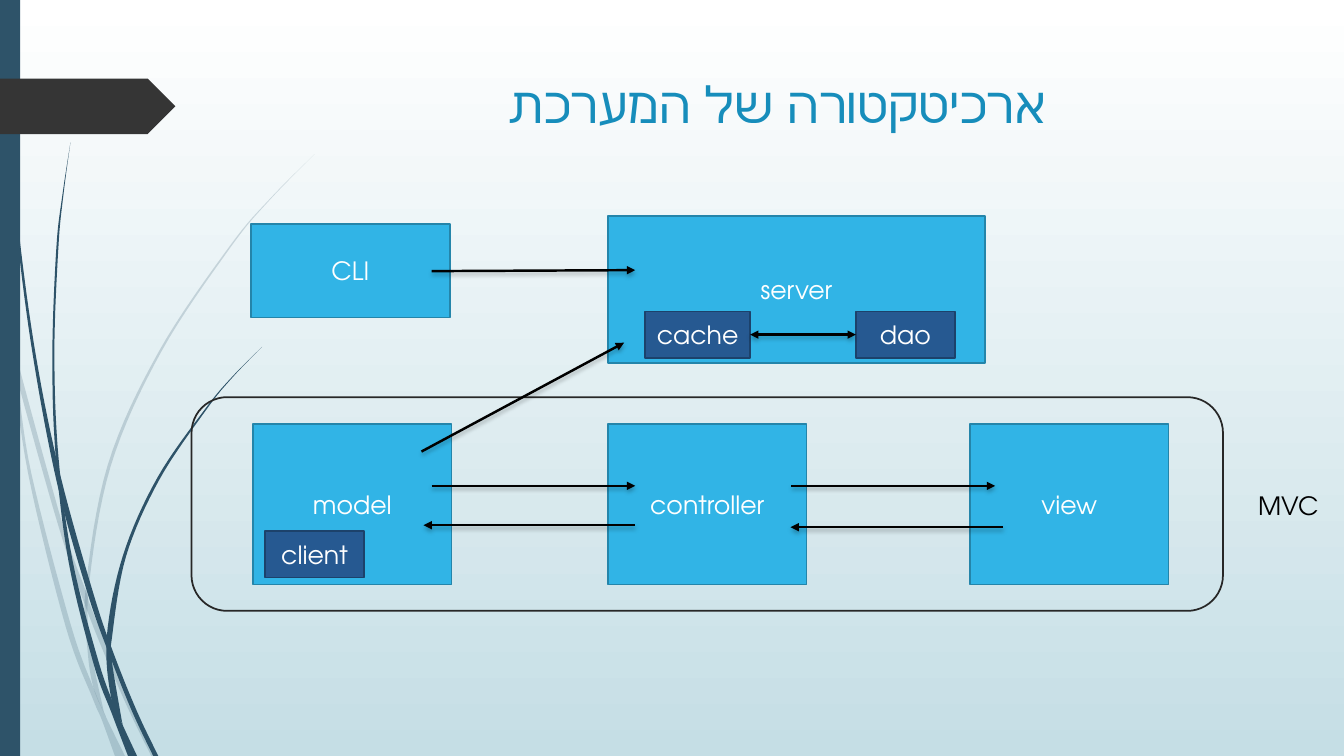
from lxml import etree
from pptx import Presentation
from pptx.dml.color import RGBColor
from pptx.enum.shapes import MSO_CONNECTOR, MSO_SHAPE
from pptx.enum.text import MSO_ANCHOR, PP_ALIGN
from pptx.oxml.ns import qn
from pptx.util import Cm, Pt

RECT, ROUNDED, TAG = MSO_SHAPE.RECTANGLE, MSO_SHAPE.ROUNDED_RECTANGLE, MSO_SHAPE.PENTAGON
STRAIGHT = MSO_CONNECTOR.STRAIGHT
CENTER, LEFT = PP_ALIGN.CENTER, PP_ALIGN.LEFT
TOP, MIDDLE = MSO_ANCHOR.TOP, MSO_ANCHOR.MIDDLE

WHITE = RGBColor(0xFF, 0xFF, 0xFF)
BLACK = RGBColor(0, 0, 0)
MIST = RGBColor(0xC5, 0xDE, 0xE5)
SLATE = RGBColor(0x2E, 0x53, 0x69)
CHARCOAL = RGBColor(0x35, 0x35, 0x35)
FRAME = RGBColor(0x27, 0x27, 0x27)
TITLE_BLUE = RGBColor(0x17, 0x8D, 0xBB)
SKY, SKY_EDGE = RGBColor(0x31, 0xB4, 0xE6), RGBColor(0x24, 0x85, 0xAA)
NAVY, NAVY_EDGE = RGBColor(0x26, 0x59, 0x91), RGBColor(0x1C, 0x42, 0x6B)
FONT = "TeX Gyre Adventor"
CM_PER_UNIT = 2.54

TITLE = "ארכיטקטורה של המערכת"
MODULES = {
    "CLI": (2.49, 2.22, 1.97, 0.93),
    "server": (6.03, 2.14, 3.74, 1.46),
    "model": (2.51, 4.21, 1.97, 1.59),
    "controller": (6.03, 4.21, 1.97, 1.59),
    "view": (9.62, 4.21, 1.97, 1.59),
}
PARTS = {
    "cache": (6.4, 3.09, 1.04, 0.46),
    "dao": (8.49, 3.09, 0.98, 0.46),
    "client": (2.63, 5.27, 0.98, 0.46),
}
CALLS = [
    ((4.28, 2.69), (6.3, 2.68)),
    ((4.18, 4.48), (6.19, 3.4)),
    ((4.28, 4.82), (6.3, 4.82)),
    ((7.85, 4.82), (9.87, 4.82)),
    ((9.95, 5.23), (7.84, 5.23)),
    ((6.3, 5.21), (4.2, 5.21)),
]
PALE_STRANDS = [
    ([(0, 2.82), (0.14, 3.45), (0.62, 5.2), (0.85, 5.86), (0.92, 6.07), (1.27, 6.92), (1.55, 7.5)],
     [(1.5, 7.5), (1.23, 6.94), (0.88, 6.1), (0.58, 5.22), (0.17, 3.76), (0.1, 3.44), (0, 2.99)]),
    ([(0.11, 3.5), (0.17, 3.76), (0.31, 4.69), (0.7, 6.19), (0.93, 6.83), (1.05, 7.11), (1.24, 7.5)],
     [(1.14, 7.5), (1.01, 7.14), (0.92, 6.93), (0.65, 6.21), (0.28, 4.7), (0.11, 3.5)]),
    ([(3.12, 1.53), (2.68, 1.97), (2.28, 2.44), (1.58, 3.48), (1.07, 4.61), (0.85, 5.84),
      (0.87, 6.46), (0.93, 6.83), (1.05, 7.11)],
     [(1.03, 7.06), (0.91, 6.46), (0.88, 5.84), (1.1, 4.62), (1.6, 3.49), (2.29, 2.45),
      (2.68, 1.98), (3.12, 1.53)]),
]
DARK_STRANDS = [
    ([(0.04, 0), (0.05, 0.48), (0.08, 1.09), (0.19, 2.32), (0.36, 3.55), (0.6, 4.72),
      (0.93, 5.9), (1.13, 6.49), (1.36, 7.06), (1.57, 7.5)],
     [(1.52, 7.5), (1.32, 7.08), (1.11, 6.56), (0.88, 5.92), (0.57, 4.81), (0.33, 3.55),
      (0.17, 2.33), (0.07, 1.1), (0.04, 0.48), (0.03, 0)]),
    ([(0.7, 1.41), (0.63, 1.93), (0.58, 2.45), (0.54, 3.49), (0.58, 4.53), (0.72, 5.56),
      (0.98, 6.57), (1.16, 7.06), (1.36, 7.5)],
     [(1.27, 7.5), (1.11, 7.08), (0.93, 6.59), (0.68, 5.57), (0.55, 4.49), (0.52, 3.49),
      (0.56, 2.45), (0.62, 1.93), (0.7, 1.41)]),
    ([(2.6, 3.44), (2.31, 3.73), (2.04, 4.05), (1.56, 4.74), (1.22, 5.51), (1.06, 6.31),
      (1.1, 6.91), (1.22, 7.19)],
     [(1.21, 7.16), (1.11, 6.56), (1.11, 6.33), (1.25, 5.52), (1.58, 4.76), (2.05, 4.06),
      (2.31, 3.74), (2.6, 3.44)]),
]


def cm(*values):
    return [Cm(value * CM_PER_UNIT) for value in values]


def smooth(knots, steps=8):
    ends = [knots[0], *knots, knots[-1]]
    curve = []
    for a, b, c, d in zip(ends, ends[1:], ends[2:], ends[3:]):
        for step in range(steps):
            t = step / steps
            curve.append(tuple(
                q + t * (r - p) / 2 + t * t * (2 * p - 5 * q + 4 * r - s) / 2
                + t ** 3 * (3 * q - p - 3 * r + s) / 2
                for p, q, r, s in zip(a, b, c, d)))
    return curve + [knots[-1]]


def paint(shape, fill=None, edge=None):
    shape.shadow.inherit = False
    if fill is None:
        shape.fill.background()
    else:
        shape.fill.solid()
        shape.fill.fore_color.rgb = fill
    if edge is None:
        shape.line.fill.background()
    else:
        shape.line.color.rgb = edge
        shape.line.width = Pt(1.25)


def write(shape, text, size, color, align=CENTER, anchor=MIDDLE):
    frame = shape.text_frame
    frame.word_wrap = True
    frame.vertical_anchor = anchor
    frame.paragraphs[0].alignment = align
    run = frame.paragraphs[0].add_run()
    run.text = text
    run.font.size = Pt(size)
    run.font.name = FONT
    run.font.color.rgb = color
    etree.SubElement(run.font._element, qn("a:cs"), typeface=FONT)


def add_strand(shapes, strand, opacity=None):
    outline = [cm(*point) for edge in strand for point in smooth(edge)]
    builder = shapes.build_freeform(*outline[0])
    builder.add_line_segments(outline[1:], close=True)
    wisp = builder.convert_to_shape()
    paint(wisp, SLATE)
    if opacity:
        color = wisp._element.spPr.find(qn("a:solidFill"))[0]
        etree.SubElement(color, qn("a:alpha"), val=str(opacity * 1000))


def add_block(shapes, kind, box, fill=None, edge=None):
    block = shapes.add_shape(kind, *cm(*box))
    paint(block, fill, edge)
    return block


def add_arrow(shapes, start, end, both=False):
    arrow = shapes.add_connector(STRAIGHT, *cm(*start, *end))
    arrow.line.color.rgb = BLACK
    arrow.line.width = Pt(1.75)
    line = arrow.line._get_or_add_ln()
    for tip in ("a:headEnd", "a:tailEnd") if both else ("a:tailEnd",):
        etree.SubElement(line, qn(tip), type="triangle")
    effects = etree.SubElement(arrow._element.spPr, qn("a:effectLst"))
    shadow = etree.SubElement(effects, qn("a:outerShdw"), blurRad=str(Pt(3)),
                              dist=str(Pt(2)), dir="5400000", rotWithShape="0")
    color = etree.SubElement(shadow, qn("a:srgbClr"), val=str(BLACK))
    etree.SubElement(color, qn("a:alpha"), val="25000")
    return arrow


def main():
    deck = Presentation()
    deck.slide_width, deck.slide_height = cm(13.33, 7.5)
    slide = deck.slides.add_slide(deck.slide_layouts[5])
    shapes = slide.shapes

    backdrop = slide.background.fill
    backdrop.gradient()
    backdrop.gradient_angle = 270
    for stop, color, position in zip(backdrop.gradient_stops, (WHITE, MIST), (0, 1)):
        stop.color.rgb = color
        stop.position = position

    for strand in PALE_STRANDS:
        add_strand(shapes, strand, 20)
    for strand in DARK_STRANDS:
        add_strand(shapes, strand)
    add_block(shapes, RECT, (0, 0, 0.2, 7.5), SLATE)
    add_block(shapes, TAG, (0, 0.78, 1.74, 0.55), CHARCOAL)

    title = shapes.title
    title.left, title.top, title.width, title.height = cm(2.84, 0.68, 9.75, 1.4)
    write(title, TITLE, 36, TITLE_BLUE, anchor=TOP)
    title.text_frame.paragraphs[0]._p.get_or_add_pPr().set("rtl", "1")

    blocks = {}
    for group, fill, edge in ((MODULES, SKY, SKY_EDGE), (PARTS, NAVY, NAVY_EDGE)):
        for label, box in group.items():
            blocks[label] = add_block(shapes, RECT, box, fill, edge)
            write(blocks[label], label, 18, WHITE)

    add_block(shapes, ROUNDED, (1.9, 3.94, 10.23, 2.12), edge=FRAME)
    pattern = shapes.add_textbox(*cm(12.38, 4.82, 1.03, 0.4))
    write(pattern, "MVC", 18, BLACK, LEFT, TOP)

    for start, end in CALLS:
        add_arrow(shapes, start, end)
    storage = add_arrow(shapes, (7.44, 3.32), (8.49, 3.32), both=True)
    storage.begin_connect(blocks["cache"], 3)
    storage.end_connect(blocks["dao"], 1)

    deck.save("out.pptx")


if __name__ == "__main__":
    main()
